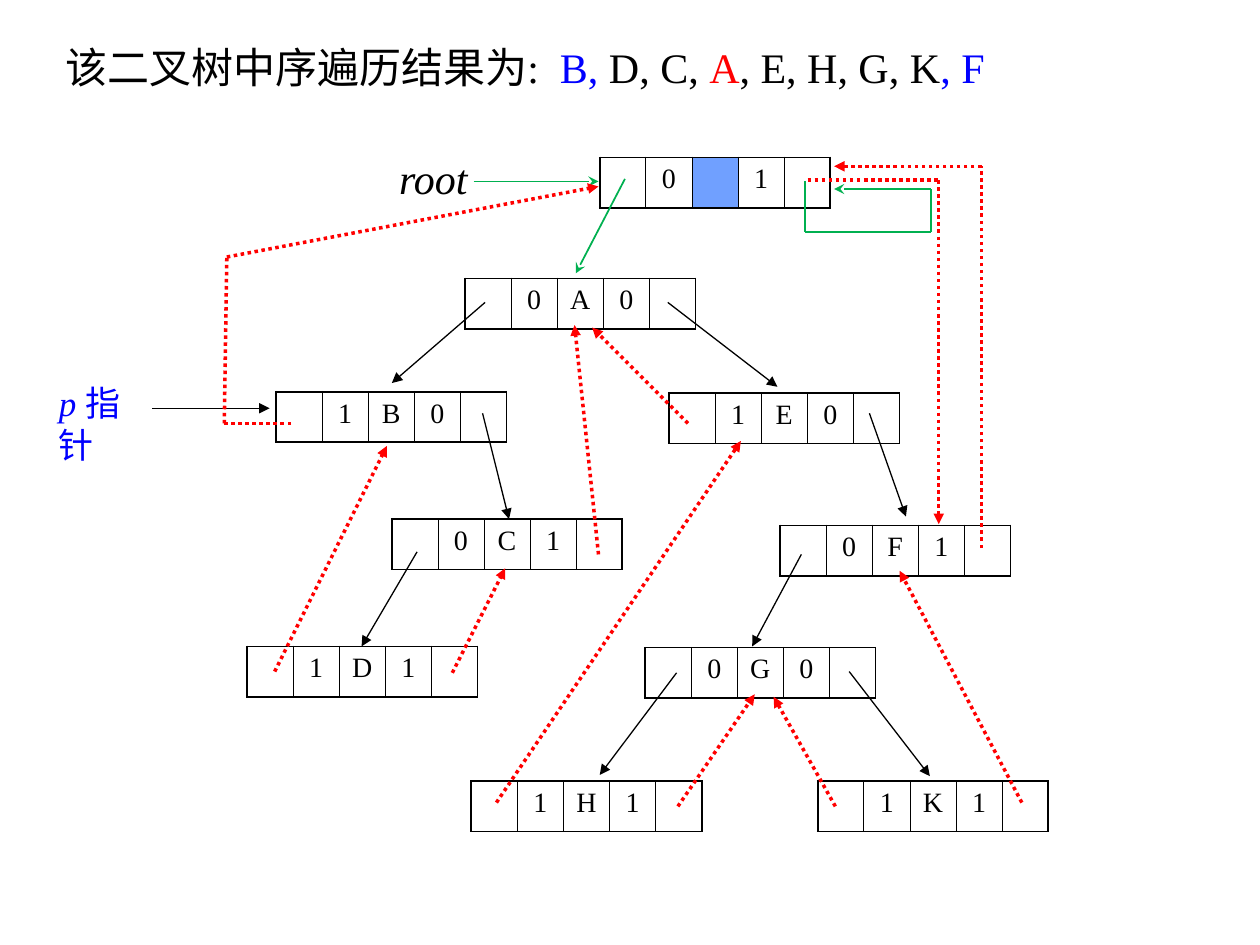
import pptx
import pptx.util
import pptx.dml.color
import pptx.enum.dml
import pptx.enum.shapes
import pptx.enum.text
import pptx.oxml
import lxml.etree

Inches = pptx.util.Inches
Pt = pptx.util.Pt
RGBColor = pptx.dml.color.RGBColor
BLACK = RGBColor(0, 0, 0)
BLUE = RGBColor(0, 0, 255)
RED = RGBColor(255, 0, 0)
GREEN = RGBColor(0, 176, 80)
SKY = RGBColor(112, 160, 255)
FONT = "Times New Roman"
CELL = 0.37
NS = "http://schemas.openxmlformats.org/drawingml/2006/main"

prs = pptx.Presentation()
prs.slide_width, prs.slide_height = Inches(10), Inches(7.5)
slide = prs.slides.add_slide(prs.slide_layouts[6])


def add_label(left, top, width, height, size, wrap, parts):
    frame = slide.shapes.add_textbox(
        Inches(left), Inches(top), Inches(width), Inches(height)).text_frame
    frame.word_wrap = wrap
    for text, color, italic in parts:
        run = frame.paragraphs[0].add_run()
        run.text = text
        run.font.name, run.font.size = FONT, Pt(size)
        run.font.color.rgb, run.font.italic = color, italic
    return frame


def add_link(points, color, width, arrow=None, dotted=False):
    segments = list(zip(points, points[1:]))
    for start, end in segments:
        link = slide.shapes.add_connector(
            pptx.enum.shapes.MSO_CONNECTOR.STRAIGHT,
            *[Inches(value) for value in start + end])
        link.line.color.rgb, link.line.width = color, Pt(width)
        if dotted:
            link.line.dash_style = pptx.enum.dml.MSO_LINE.ROUND_DOT
        properties = link._element.spPr
        if arrow and end == points[-1]:
            tail = lxml.etree.SubElement(properties.find(f"{{{NS}}}ln"), f"{{{NS}}}tailEnd")
            tail.set("type", arrow)
        lxml.etree.SubElement(properties, f"{{{NS}}}effectLst")


title = add_label(0.42, 0.28, 8.83, 0.5, 24, True, [
    ("该二叉树中序遍历结果为:", BLACK, False), (" ", BLACK, False),
    ("B, ", BLUE, False), ("D, C, ", BLACK, False), ("A", RED, False),
    (", E, H, G, K", BLACK, False), (", F", BLUE, False)])
title.paragraphs[0].runs[1].font._element.set("spc", "600")
add_label(3.07, 1.16, 0.76, 0.5, 24, False, [("root", BLACK, True)])
add_label(0.37, 2.98, 0.96, 0.44, 20, False, [("p ", BLUE, True), ("指针", BLUE, False)])

nodes = [
    (4.76, 1.25, "0", "", "1"),
    (3.69, 2.21, "0", "A", "0"),
    (2.19, 3.11, "1", "B", "0"),
    (5.31, 3.12, "1", "E", "0"),
    (3.11, 4.12, "0", "C", "1"),
    (6.19, 4.17, "0", "F", "1"),
    (1.96, 5.13, "1", "D", "1"),
    (5.12, 5.14, "0", "G", "0"),
    (3.74, 6.2, "1", "H", "1"),
    (6.49, 6.2, "1", "K", "1"),
]
for left, top, left_tag, name, right_tag in nodes:
    node = slide.shapes.add_table(
        1, 5, Inches(left), Inches(top), Inches(5 * CELL), Inches(CELL)).table
    node.first_row = node.horz_banding = False
    node.rows[0].height = Inches(CELL)
    for column, text in enumerate(["", left_tag, name, right_tag, ""]):
        node.columns[column].width = Inches(1.83 / 5)
        cell = node.cell(0, column)
        cell.text_frame.text = text
        paragraph = cell.text_frame.paragraphs[0]
        paragraph.alignment = pptx.enum.text.PP_ALIGN.CENTER
        paragraph.font.name = FONT
        paragraph.font.size = Pt(16 if text else 18)
        for run in paragraph.runs:
            run.font.name, run.font.size = FONT, Pt(16)
            run.font.color.rgb = BLACK
        borders = {"L": 1.08 if column == 0 else 0.45,
                   "R": 1.08 if column == 4 else 0.45, "T": 1.08, "B": 1.08}
        for side, width in borders.items():
            cell._tc.get_or_add_tcPr().append(pptx.oxml.parse_xml(
                f'<a:ln{side} xmlns:a="{NS}" w="{Pt(width)}">'
                f'<a:solidFill><a:srgbClr val="{BLACK}"/></a:solidFill></a:ln{side}>'))
        if column == 2 and not name:
            cell.fill.solid()
            cell.fill.fore_color.rgb = SKY
        else:
            cell.fill.background()

child_links = [
    [(3.85, 2.4), (3.11, 3.04)],
    [(5.3, 2.4), (6.17, 3.07)],
    [(3.83, 3.28), (4.04, 4.12)],
    [(3.31, 4.38), (2.87, 5.13)],
    [(6.9, 3.28), (7.19, 4.1)],
    [(6.36, 4.4), (5.97, 5.13)],
    [(5.37, 5.34), (4.76, 6.15)],
    [(6.74, 5.33), (7.38, 6.16)],
    [(1.21, 3.24), (2.14, 3.24)],
]
for points in child_links:
    add_link(points, BLACK, 0.75, "triangle")

root_links = [
    [(4.96, 1.42), (4.57, 2.17)],
    [(6.39, 1.44), (6.39, 1.84), (7.39, 1.84), (7.39, 1.5), (6.62, 1.5)],
    [(3.76, 1.44), (4.75, 1.44)],
]
for points in root_links:
    add_link(points, GREEN, 1, "stealth")

threads = [
    [(2.31, 3.36), (1.78, 3.36), (1.8, 2.04), (4.75, 1.48)],
    [(2.18, 5.33), (3.07, 3.54)],
    [(3.59, 5.34), (4.01, 4.51)],
    [(4.75, 4.4), (4.56, 2.58)],
    [(5.46, 3.36), (4.7, 2.6)],
    [(3.94, 6.37), (5.88, 3.5)],
    [(5.38, 6.4), (5.99, 5.51)],
    [(6.63, 6.4), (6.14, 5.53)],
    [(8.11, 6.37), (7.14, 4.53)],
    [(7.79, 4.35), (7.79, 1.32), (6.62, 1.32)],
    [(6.41, 1.43), (7.45, 1.43), (7.45, 4.16)],
]
for points in threads:
    add_link(points, RED, 2, "triangle", dotted=True)

prs.save("out.pptx")
